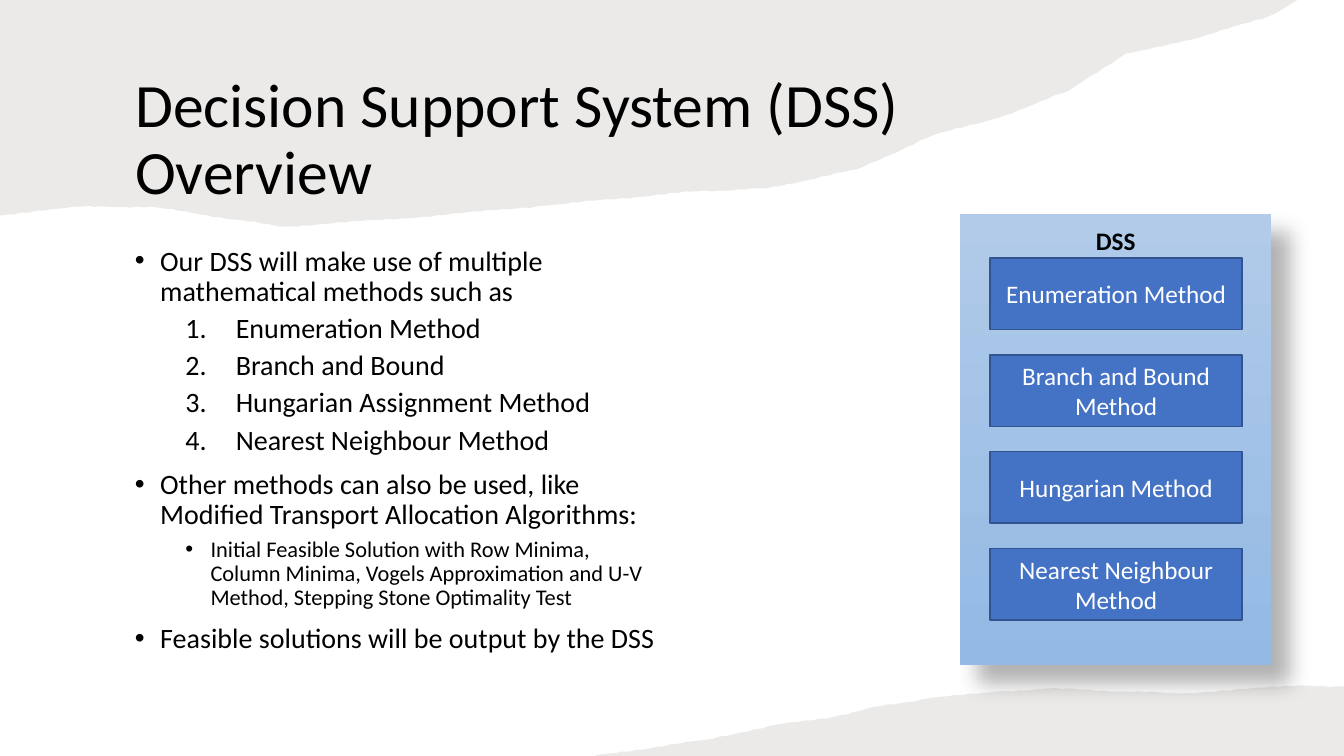
import itertools
import math

from lxml import etree
from pptx import Presentation
from pptx import util as u
from pptx.dml.color import RGBColor
from pptx.enum import shapes, text
from pptx.oxml import ns

FONT = "Calibri"
BLACK, WHITE = "000000", "FFFFFF"
SLIDE_WIDTH, SLIDE_HEIGHT = 13.33, 7.5

FIBRE_STEP, FIBRE_DEPTH = 0.07, 0.01
TOP_BENDS = [
    (12.87, 0), (12.59, 0.16), (11.9, 0.37), (11.17, 0.53), (10.6, 0.9), (9.9, 1.17),
    (9.26, 1.34), (8.5, 1.68), (7.6, 1.87), (6.86, 1.9), (5.4, 2.04), (4.2, 2.15),
    (2.8, 2.25), (1.5, 2.05), (0.8, 2.05), (0, 2.14),
]
BOTTOM_BENDS = [
    (5.89, SLIDE_HEIGHT), (7, 7.34), (7.7, 7.19), (8.2, 7.13), (8.6, 7.03), (9.2, 6.93),
    (9.9, 6.86), (10.4, 6.83), (11.7, 6.88), (12.9, 6.8), (SLIDE_WIDTH, 6.81),
]

BULLET = dict(left=0.25, hang=0.25, before=10)
NUMBER = dict(left=1, hang=0.5, before=5, level=1, numbered=True)
DETAIL = dict(left=0.75, hang=0.25, before=5, level=1, size=16)
OUTLINE = [
    ("Our DSS will make use of multiple mathematical methods such as", BULLET),
    ("Enumeration Method", NUMBER),
    ("Branch and Bound", NUMBER),
    ("Hungarian Assignment Method", NUMBER),
    ("Nearest Neighbour Method", NUMBER),
    ("Other methods can also be used, like Modified Transport Allocation Algorithms:", BULLET),
    ("Initial Feasible Solution with Row Minima, Column Minima, Vogels Approximation "
     "and U-V Method, Stepping Stone Optimality Test", DETAIL),
    ("Feasible solutions will be output by the DSS", BULLET),
]

METHODS = ["Enumeration Method", "Branch and Bound Method",
           "Hungarian Method", "Nearest Neighbour Method"]
FIRST_METHOD_TOP, METHOD_HEIGHT, METHOD_GAP = 2.56, 0.71, 0.25


def rgb(value):
    return RGBColor.from_string(value)


def box(left, top, width, height):
    return [u.Inches(n) for n in (left, top, width, height)]


def add_child(parent, tag, **attributes):
    child = etree.SubElement(parent, ns.qn(tag))
    for key, value in attributes.items():
        child.set(key, str(value))
    return child


def add_run(paragraph, words, size, color=BLACK, bold=False):
    run = paragraph.add_run()
    run.text = words
    run.font.name = FONT
    run.font.size = u.Pt(size)
    run.font.bold = bold
    run.font.color.rgb = rgb(color)


def torn_edge(bends):
    edge = [bends[0]]
    for (x0, y0), (x1, y1) in itertools.pairwise(bends):
        steps = max(1, round(abs(x1 - x0) / FIBRE_STEP))
        for step in range(1, steps):
            x = x0 + (x1 - x0) * step / steps
            y = y0 + (y1 - y0) * step / steps
            fibre = FIBRE_DEPTH * math.sin(23 * x) * math.cos(61 * x)
            edge.append((x, y + fibre))
        edge.append((x1, y1))
    return edge


def add_torn_paper(slide, corner, bends):
    points = [(u.Inches(x), u.Inches(y)) for x, y in [corner, *torn_edge(bends)]]
    builder = slide.shapes.build_freeform(*points[0])
    builder.add_line_segments(points[1:], close=True)
    paper = builder.convert_to_shape()
    paper.shadow.inherit = False
    paper.fill.solid()
    paper.fill.fore_color.rgb = rgb("82766A")
    paper.line.fill.background()
    tint = paper.element.spPr.find(".//" + ns.qn("a:srgbClr"))
    add_child(tint, "a:alpha", val=15000)
    return paper


def set_title(slide, words):
    title = slide.shapes.title
    title.left, title.top, title.width, title.height = box(1.24, 0.67, 10.27, 1.46)
    frame = title.text_frame
    frame.word_wrap = True
    frame.vertical_anchor = text.MSO_ANCHOR.MIDDLE
    frame.margin_right = u.Inches(0.3)
    paragraph = frame.paragraphs[0]
    paragraph.alignment = text.PP_ALIGN.LEFT
    paragraph.line_spacing = 0.9
    add_run(paragraph, words, 44)
    return title


def add_item(paragraph, words, left, hang, before, level=0, size=20, numbered=False):
    paragraph.level = level
    paragraph.line_spacing = 0.9
    paragraph.space_before = u.Pt(before)
    add_run(paragraph, words, size)
    properties = paragraph._p.get_or_add_pPr()
    properties.set("marL", str(u.Inches(left)))
    properties.set("indent", str(-u.Inches(hang)))
    if numbered:
        add_child(properties, "a:buFont", typeface="+mj-lt")
        add_child(properties, "a:buAutoNum", type="arabicPeriod")
    else:
        add_child(properties, "a:buFont", typeface="Arial")
        add_child(properties, "a:buChar", char="•")


def add_outline(slide):
    frame = slide.shapes.add_textbox(*box(1.24, 2.4, 5.42, 4.7)).text_frame
    frame.word_wrap = True
    for index, (words, style) in enumerate(OUTLINE):
        paragraph = frame.add_paragraph() if index else frame.paragraphs[0]
        add_item(paragraph, words, **style)


def add_rectangle(slide, *place):
    rectangle = slide.shapes.add_shape(shapes.MSO_SHAPE.RECTANGLE, *box(*place))
    rectangle.shadow.inherit = False
    return rectangle


def add_panel(slide):
    panel = add_rectangle(slide, 9.52, 2.12, 3.09, 4.48)
    panel.line.fill.background()
    panel.fill.gradient()
    panel.fill.gradient_angle = 270
    shades = [(0, "B1CBE9"), (1, "93B9E4")]
    for stop, (position, color) in zip(panel.fill.gradient_stops, shades):
        stop.position = position
        stop.color.rgb = rgb(color)
    effects = panel.element.spPr.find(ns.qn("a:effectLst"))
    shadow = add_child(effects, "a:outerShdw", blurRad=u.Pt(15), dist=u.Pt(18),
                       dir=45 * 60000, algn="tl", rotWithShape=0)
    add_child(add_child(shadow, "a:srgbClr", val=BLACK), "a:alpha", val=30000)


def add_method(slide, top, words):
    method = add_rectangle(slide, 9.82, top, 2.5, METHOD_HEIGHT)
    method.fill.solid()
    method.fill.fore_color.rgb = rgb("4472C4")
    method.line.color.rgb = rgb("325491")
    method.line.width = u.Pt(1)
    frame = method.text_frame
    frame.word_wrap = True
    frame.vertical_anchor = text.MSO_ANCHOR.MIDDLE
    frame.paragraphs[0].alignment = text.PP_ALIGN.CENTER
    add_run(frame.paragraphs[0], words, 18, WHITE)


def add_panel_heading(slide, words):
    frame = slide.shapes.add_textbox(*box(10.77, 2.19, 0.6, 0.4)).text_frame
    frame.word_wrap = False
    frame.auto_size = text.MSO_AUTO_SIZE.SHAPE_TO_FIT_TEXT
    add_run(frame.paragraphs[0], words, 18, bold=True)


def main():
    deck = Presentation()
    deck.slide_width, deck.slide_height = u.Inches(SLIDE_WIDTH), u.Inches(SLIDE_HEIGHT)
    slide = deck.slides.add_slide(deck.slide_layouts[5])
    slide.background.fill.solid()
    slide.background.fill.fore_color.rgb = rgb(WHITE)

    top_paper = add_torn_paper(slide, (0, 0), TOP_BENDS)
    title = set_title(slide, "Decision Support System (DSS) Overview")
    top_paper.element.addnext(title.element)
    add_outline(slide)
    add_torn_paper(slide, (SLIDE_WIDTH, SLIDE_HEIGHT), BOTTOM_BENDS)
    add_panel(slide)
    for row, words in enumerate(METHODS):
        add_method(slide, FIRST_METHOD_TOP + row * (METHOD_HEIGHT + METHOD_GAP), words)
    add_panel_heading(slide, "DSS")
    deck.save("out.pptx")


if __name__ == "__main__":
    main()
